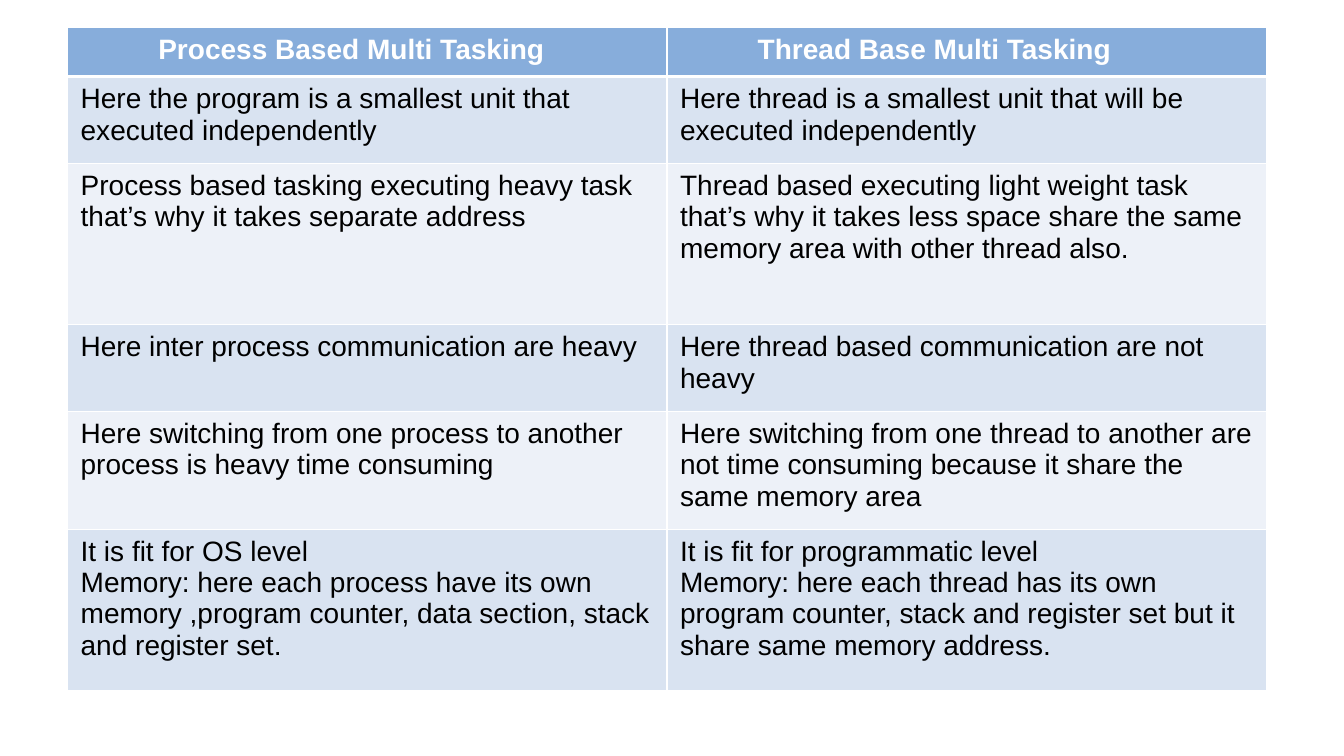
from lxml import etree
from pptx import Presentation
from pptx import util as u
from pptx.dml.color import RGBColor
from pptx.enum import text
from pptx.oxml.ns import qn

COLORS = {"header": "87ADDB", "odd": "D9E3F1", "even": "EDF1F8",
          "white": "FFFFFF", "black": "000000"}
FONT = "Arial"
SIZE = 20
MARGIN_X, MARGIN_Y = 0.13, 0.07
HEADER_INDENT = 0.77
ROW_HEIGHTS = [0.49, 0.86, 1.6, 0.86, 1.17, 1.6]

ROWS = [
    ("Process Based Multi Tasking", "Thread Base Multi Tasking"),
    ("Here the program is a smallest unit that executed independently",
     "Here thread is a smallest unit that will be executed independently"),
    ("Process based tasking executing heavy task that’s why it takes separate address",
     "Thread based executing light weight task that’s why it takes less space "
     "share the same memory area with other thread also."),
    ("Here inter process communication are heavy",
     "Here thread based communication are not heavy"),
    ("Here switching from one process to another process is heavy time consuming",
     "Here switching from one thread to another are not time consuming "
     "because it share the same memory area"),
    ("It is fit for OS level\nMemory: here each process have its own memory "
     ",program counter, data section, stack and register set.",
     "It is fit for programmatic level\nMemory: here each thread has its own program "
     "counter, stack and register set but it share same memory address."),
]


def rgb(name):
    return RGBColor.from_string(COLORS[name])


def set_borders(cell, widths):
    tcPr = cell._tc.get_or_add_tcPr()
    for i, (side, width) in enumerate(widths.items()):
        ln = etree.Element(qn(f"a:ln{side}"), w=str(u.Pt(width)))
        fill = etree.SubElement(ln, qn("a:solidFill"))
        etree.SubElement(fill, qn("a:srgbClr"), val=COLORS["white"])
        tcPr.insert(i, ln)


def fill_cell(cell, content, row):
    header = row == 0
    cell.margin_left = u.Inches(MARGIN_X + HEADER_INDENT * header)
    cell.margin_right = u.Inches(MARGIN_X)
    cell.margin_top = cell.margin_bottom = u.Inches(MARGIN_Y)
    cell.fill.solid()
    cell.fill.fore_color.rgb = rgb("header" if header else "odd" if row % 2 else "even")
    set_borders(cell, {"L": 1, "R": 1, "T": 3 if row == 1 else 1, "B": 3 if header else 1})
    tf = cell.text_frame
    tf.text = content
    for p in tf.paragraphs:
        p.alignment = text.PP_ALIGN.JUSTIFY if header else text.PP_ALIGN.LEFT
        for r in p.runs:
            r.font.name = FONT
            r.font.size = u.Pt(SIZE)
            r.font.bold = header
            r.font.color.rgb = rgb("white" if header else "black")


def add_comparison(slide, left, top, width, height):
    table = slide.shapes.add_table(len(ROWS), len(ROWS[0]), left, top, width, height).table
    for column in table.columns:
        column.width = width // len(ROWS[0])
    for i, (row, share) in enumerate(zip(table.rows, ROW_HEIGHTS)):
        row.height = int(height * share / sum(ROW_HEIGHTS))
        for cell, content in zip(row.cells, ROWS[i]):
            fill_cell(cell, content, i)


def main():
    prs = Presentation()
    prs.slide_width, prs.slide_height = u.Inches(13.33), u.Inches(7.5)
    slide = prs.slides.add_slide(prs.slide_layouts[6])
    add_comparison(slide, u.Inches(0.67), u.Inches(0.27),
                   u.Inches(11.89), u.Inches(sum(ROW_HEIGHTS)))
    prs.save("out.pptx")


if __name__ == "__main__":
    main()
